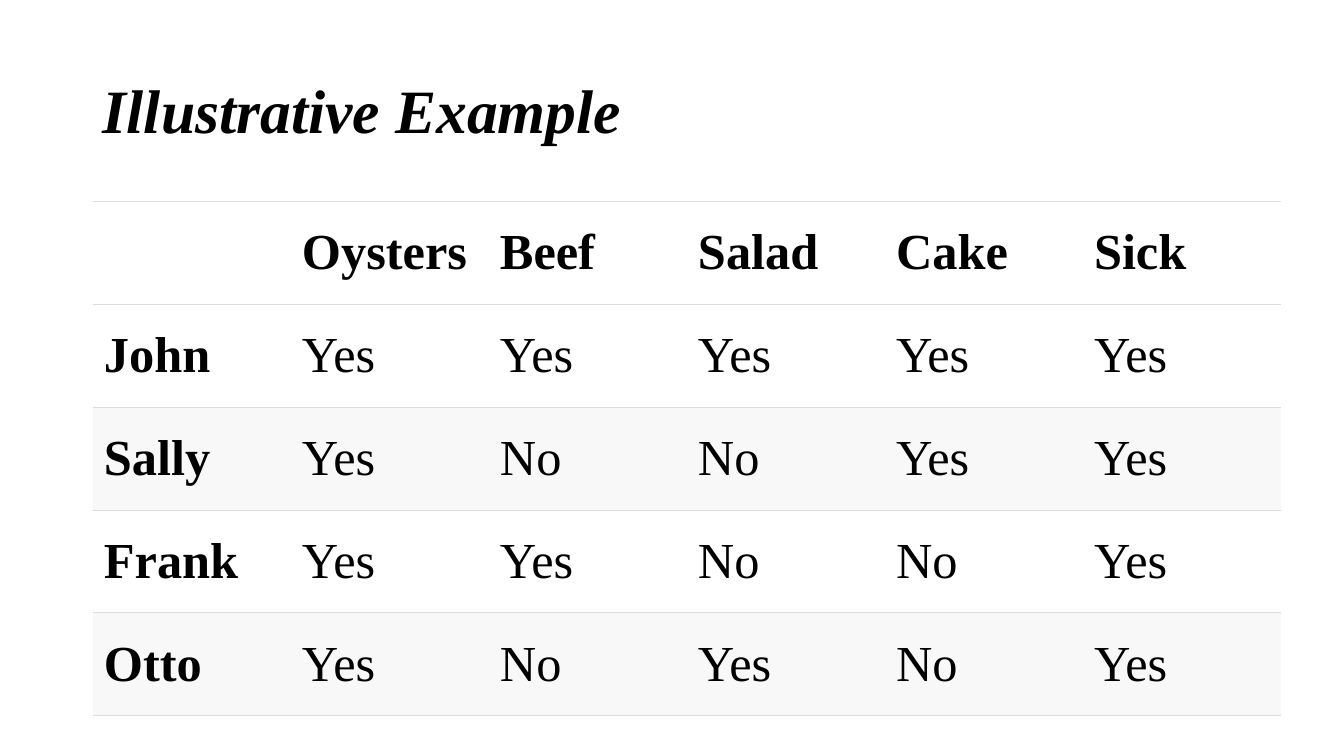
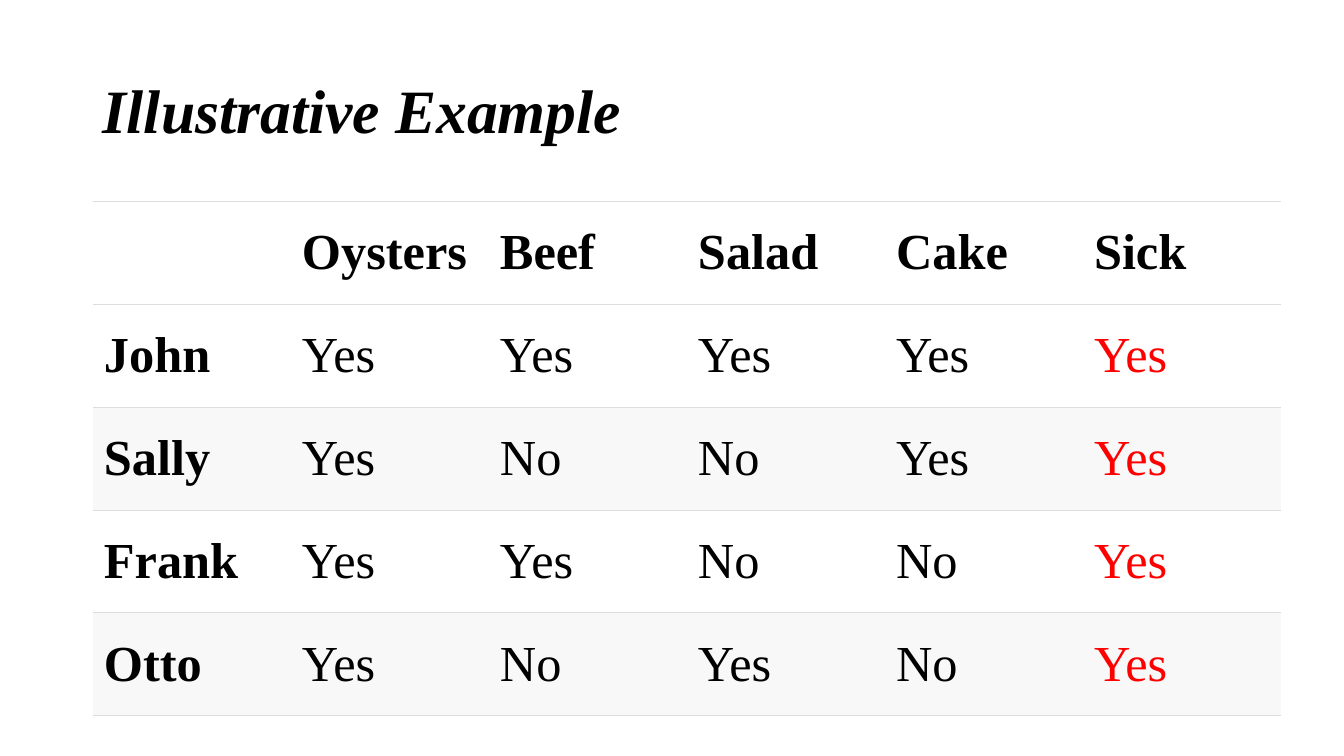
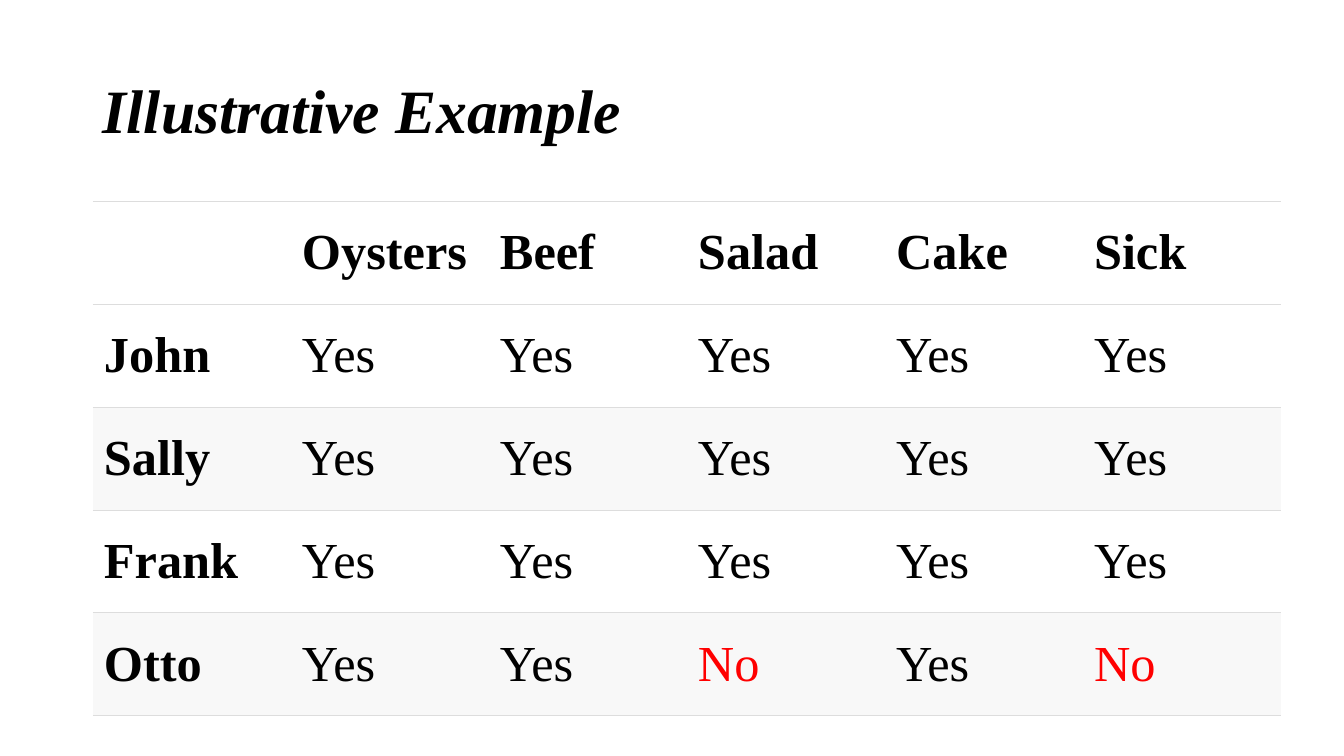
from dataclasses import dataclass

import pptx
import pptx.dml.color
import pptx.enum.text
import pptx.oxml
import pptx.oxml.ns
import pptx.util
from pptx.util import Cm


# Shared look
@dataclass(frozen=True)
class Theme:
    font: str = "Times New Roman"
    title_size: int = 44
    table_size: int = 36
    text: str = "000000"
    highlight: str = "FF0000"
    background: str = "FFFFFF"
    band: str = "F8F8F8"
    rule: str = "DDDDDD"
    rule_width: float = 0.6
    last_rule_width: float = 1.2


def rgb(color):
    return pptx.dml.color.RGBColor.from_string(color)


class Deck:
    def __init__(self, theme):
        self.theme = theme
        self.presentation = pptx.Presentation()
        self.presentation.slide_width = Cm(33.87)
        self.presentation.slide_height = Cm(19.05)
        self.slide = None

    def add_slide(self, title):
        layout = self.presentation.slide_layouts.get_by_name("Title Only")
        self.slide = self.presentation.slides.add_slide(layout)
        background = self.slide.background.fill
        background.solid()
        background.fore_color.rgb = rgb(self.theme.background)
        self.add_title(title)

    def add_title(self, text):
        shape = self.slide.shapes.title
        shape.left, shape.top = Cm(2.34), Cm(1.02)
        shape.width, shape.height = Cm(29.21), Cm(3.68)
        text_frame = shape.text_frame
        text_frame.text = text
        text_frame.auto_size = pptx.enum.text.MSO_AUTO_SIZE.NONE
        text_frame.vertical_anchor = pptx.enum.text.MSO_ANCHOR.MIDDLE
        paragraph = text_frame.paragraphs[0]
        paragraph.line_spacing = 0.9
        self.format_text(paragraph, self.theme.title_size, self.theme.text, bold=True, italic=True)

    def format_text(self, paragraph, size, color, bold=False, italic=False):
        paragraph.alignment = pptx.enum.text.PP_ALIGN.LEFT
        font = paragraph.font
        for run in paragraph.runs:
            font = run.font
        font.name = self.theme.font
        font.size = pptx.util.Pt(size)
        font.bold = bold
        font.italic = italic
        font.color.rgb = rgb(color)

    def add_table(self, rows, highlights):
        row_count, column_count = len(rows), len(rows[0])
        column_width, row_height = Cm(4.99), Cm(2.59)
        table = self.slide.shapes.add_table(
            row_count, column_count, Cm(2.34), Cm(5.08),
            column_width * column_count, row_height * row_count).table
        table.first_row = False
        table.horz_banding = False
        for row in table.rows:
            row.height = row_height
        for column in table.columns:
            column.width = column_width

        for row_index, values in enumerate(rows):
            is_band = row_index > 0 and row_index % 2 == 0
            is_last = row_index == row_count - 1
            for column_index, value in enumerate(values):
                cell = table.cell(row_index, column_index)
                self.add_cell_rules(cell, is_last)
                cell.fill.solid()
                cell.fill.fore_color.rgb = rgb(self.theme.band if is_band else self.theme.background)
                cell.vertical_anchor = pptx.enum.text.MSO_ANCHOR.MIDDLE
                cell.margin_left = cell.margin_right = Cm(0.28)
                cell.margin_top = cell.margin_bottom = Cm(0.13)
                cell.text_frame.text = value
                is_marked = (row_index, column_index) in highlights
                self.format_text(
                    cell.text_frame.paragraphs[0], self.theme.table_size,
                    self.theme.highlight if is_marked else self.theme.text,
                    bold=row_index == 0 or column_index == 0)

    def add_cell_rules(self, cell, is_last):
        """Draw horizontal rules only; call before filling the cell."""
        bottom = self.theme.last_rule_width if is_last else self.theme.rule_width
        properties = cell._tc.get_or_add_tcPr()
        for side, width in (("L", 0), ("R", 0), ("T", self.theme.rule_width), ("B", bottom)):
            paint = (f'<a:solidFill><a:srgbClr val="{self.theme.rule}"/></a:solidFill>'
                     if width else "<a:noFill/>")
            properties.append(pptx.oxml.parse_xml(
                f'<a:ln{side} {pptx.oxml.ns.nsdecls("a")} w="{pptx.util.Pt(width)}">{paint}</a:ln{side}>'))


# Content
TITLE = "Illustrative Example"
HEADER = ["", "Oysters", "Beef", "Salad", "Cake", "Sick"]
ALL_SICK = [
    HEADER,
    ["John", "Yes", "Yes", "Yes", "Yes", "Yes"],
    ["Sally", "Yes", "No", "No", "Yes", "Yes"],
    ["Frank", "Yes", "Yes", "No", "No", "Yes"],
    ["Otto", "Yes", "No", "Yes", "No", "Yes"],
]
ONE_WELL = [
    HEADER,
    ["John", "Yes", "Yes", "Yes", "Yes", "Yes"],
    ["Sally", "Yes", "Yes", "Yes", "Yes", "Yes"],
    ["Frank", "Yes", "Yes", "Yes", "Yes", "Yes"],
    ["Otto", "Yes", "Yes", "No", "Yes", "No"],
]
SICK_COLUMN = {(row, HEADER.index("Sick")) for row in range(1, len(ALL_SICK))}
NO_ANSWERS = {(row, column) for row, values in enumerate(ONE_WELL)
              for column, value in enumerate(values) if value == "No"}


def main():
    deck = Deck(Theme())
    for rows, highlights in ((ALL_SICK, set()), (ALL_SICK, SICK_COLUMN), (ONE_WELL, NO_ANSWERS)):
        deck.add_slide(TITLE)
        deck.add_table(rows, highlights)
    deck.presentation.save("out.pptx")


if __name__ == "__main__":
    main()
